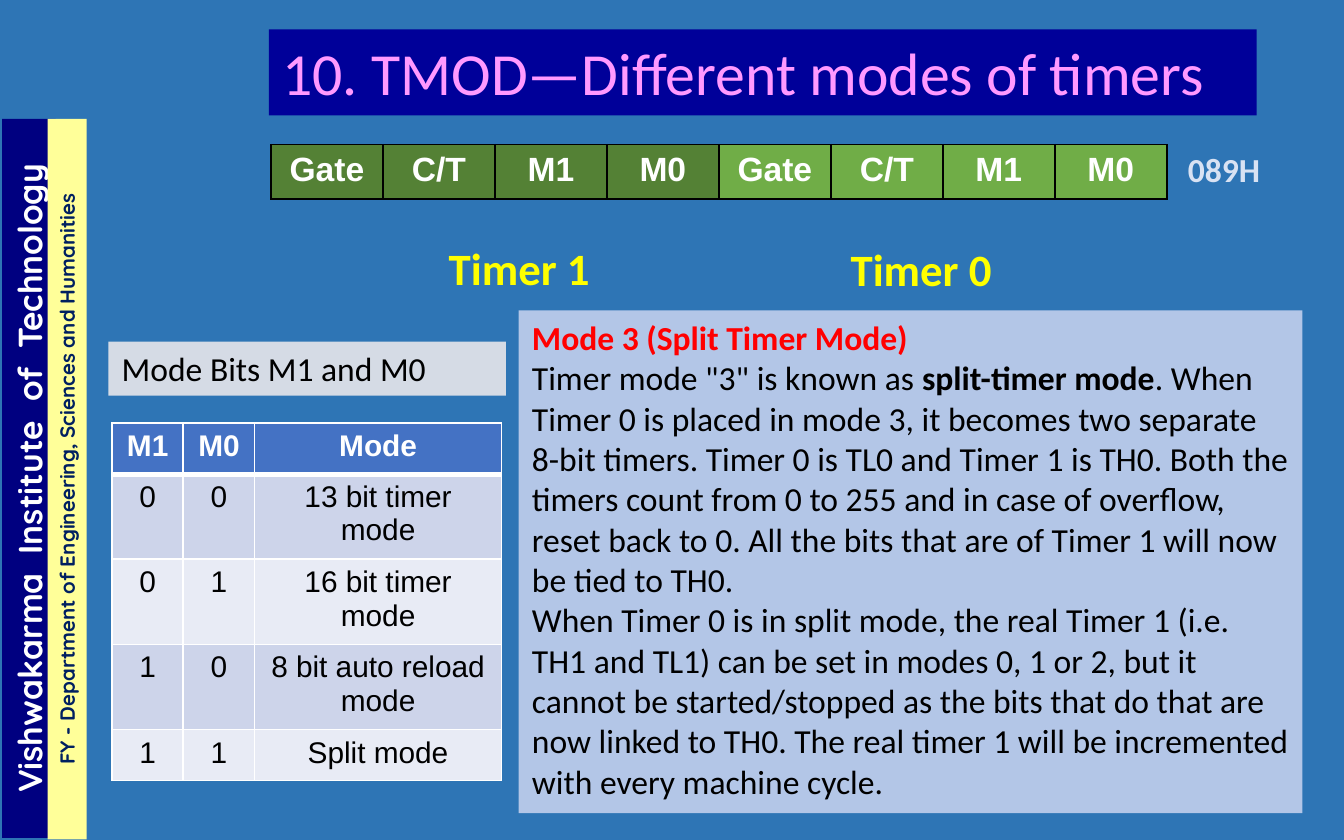
from lxml import etree
from pptx import Presentation
from pptx import util as u
from pptx.dml import color
from pptx.enum import shapes, text
from pptx.oxml import ns

Pt = u.Pt
C = {
    "bg": "2E75B5", "navy": "000080", "cream": "FFFF99", "ink": "002060",
    "title": "000099", "pink": "FF99FF", "panel": "B3C6E7", "label": "D5DBE5",
    "red": "FF0000", "black": "000000", "white": "FFFFFF", "yellow": "FFFF00",
    "address": "D8E2F3", "header": "4472C4", "band1": "CDD4EA", "band2": "E8EBF5",
    "timer1": "548135", "timer0": "70AD47",
}
rgb = {k: color.RGBColor.from_string(v) for k, v in C.items()}
LEFT, CENTER = text.PP_ALIGN.LEFT, text.PP_ALIGN.CENTER


def write(tf, paras, size, font, align=LEFT):
    tf.word_wrap = True
    for i, runs in enumerate(paras):
        p = tf.paragraphs[0] if i == 0 else tf.add_paragraph()
        p.alignment = align
        for words, key, bold in runs:
            r = p.add_run()
            r.text = words
            r.font.size, r.font.name, r.font.bold = Pt(size), font, bold
            r.font.color.rgb = rgb[key]


def style_cell(cell, words, size, key, bold, fill, line, top=1, bottom=1):
    write(cell.text_frame, [[(words, key, bold)]], size, "Arial", CENTER)
    tcPr = cell._tc.get_or_add_tcPr()
    for side, w in (("L", 1), ("R", 1), ("T", top), ("B", bottom)):
        ln = etree.SubElement(tcPr, ns.qn("a:ln" + side), w=str(Pt(w)))
        sf = etree.SubElement(ln, ns.qn("a:solidFill"))
        etree.SubElement(sf, ns.qn("a:srgbClr"), val=C[line])
    cell.fill.solid()
    cell.fill.fore_color.rgb = rgb[fill]


prs = Presentation()
prs.slide_width, prs.slide_height = Pt(720), Pt(450)
s = prs.slides.add_slide(prs.slide_layouts[5])
s.background.fill.solid()
s.background.fill.fore_color.rgb = rgb["bg"]

title = s.shapes.title
title.left, title.top, title.width, title.height = Pt(144), Pt(15.8), Pt(529.2), Pt(46)
title.fill.solid()
title.fill.fore_color.rgb = rgb["title"]
title.text_frame.auto_size = text.MSO_AUTO_SIZE.NONE
title.text_frame.vertical_anchor = text.MSO_ANCHOR.TOP
write(title.text_frame, [[("10. TMOD—Different modes of timers", "pink", False)]], 32, "Calibri")

institute = [("Vishwakarma", "white", True)]
for word in ("Institute", "of", "Technology"):
    institute += [(" ", "white", True), (word, "white", True)]
department = [("FY - Department of Engineering, Sciences and Humanities", "ink", True)]
mode3 = [
    [("Mode 3 (Split Timer Mode)", "red", True)],
    [
        ('Timer mode "3" is known as ', "black", False),
        ("split-timer mode", "black", True),
        (". When Timer 0 is placed in mode 3, it becomes two separate 8-bit timers. "
         "Timer 0 is TL0 and Timer 1 is TH0. Both the timers count from 0 to 255 and in "
         "case of overflow, reset back to 0. All the bits that are of Timer 1 will now "
         "be tied to TH0.", "black", False),
    ],
    [("When Timer 0 is in split mode, the real Timer 1 (i.e. TH1 and TL1) can be set in "
      "modes 0, 1 or 2, but it cannot be started/stopped as the bits that do that are "
      "now linked to TH0. The real timer 1 will be incremented with every machine cycle.",
      "black", False)],
]

panels = [
    (-177.1, 241.9, 385.2, 28.8, 270, "navy", [institute], 18, "Quicksand", CENTER),
    (-157, 246.2, 385.9, 20.9, 270, "cream", [department], 11, "Quicksand", CENTER),
    (277.9, 166.3, 419.8, 269.3, 0, "panel", mode3, 18, "Calibri", LEFT),
    (58.1, 183, 212.9, 29, 0, "label", [[("Mode Bits M1 and M0", "black", False)]],
     18, "Calibri", LEFT),
]
for x, y, w, h, angle, fill, paras, size, font, align in panels:
    sp = s.shapes.add_shape(shapes.MSO_SHAPE.RECTANGLE, Pt(x), Pt(y), Pt(w), Pt(h))
    sp.rotation = angle
    sp.shadow.inherit = False
    sp.fill.solid()
    sp.fill.fore_color.rgb = rgb[fill]
    sp.line.fill.background()
    sp.text_frame.vertical_anchor = text.MSO_ANCHOR.TOP
    write(sp.text_frame, paras, size, font, align)
    if fill == "navy":
        for r in sp.text_frame.paragraphs[0].runs[1::2]:
            r.font._element.set("spc", "500")

labels = [
    (629.3, 76.3, 64.8, 29, "089H", "address", 18),
    (233.3, 125.3, 97.2, 36, "Timer 1", "yellow", 24),
    (448.6, 126, 98.6, 36, "Timer 0", "yellow", 24),
]
for x, y, w, h, words, key, size in labels:
    sp = s.shapes.add_textbox(Pt(x), Pt(y), Pt(w), Pt(h))
    write(sp.text_frame, [[(words, key, True)]], size, "Calibri")

register = s.shapes.add_table(1, 8, Pt(145.2), Pt(77.5), Pt(480), Pt(29.2)).table
for i, words in enumerate(["Gate", "C/T", "M1", "M0"] * 2):
    fill = "timer1" if i < 4 else "timer0"
    style_cell(register.cell(0, i), words, 18, "white", True, fill, "black")

modes = [
    ("M1", "M0", "Mode"),
    ("0", "0", "13 bit timer mode"),
    ("0", "1", "16 bit timer mode"),
    ("1", "0", "8 bit auto reload mode"),
    ("1", "1", "Split mode"),
]
table = s.shapes.add_table(5, 3, Pt(60), Pt(226.6), Pt(208.8), Pt(191.5)).table
for col, w in zip(table.columns, (38.2, 38.2, 132.4)):
    col.width = Pt(w)
for row, h in zip(table.rows, (27.4, 45.6, 45.6, 45.6, 27.3)):
    row.height = Pt(h)
for i, row in enumerate(modes):
    head = i == 0
    fill = "header" if head else "band1" if i % 2 else "band2"
    for j, words in enumerate(row):
        style_cell(table.cell(i, j), words, 16, "white" if head else "black", head, fill,
                   "white", top=3 if i == 1 else 1, bottom=3 if head else 1)

prs.save("out.pptx")
